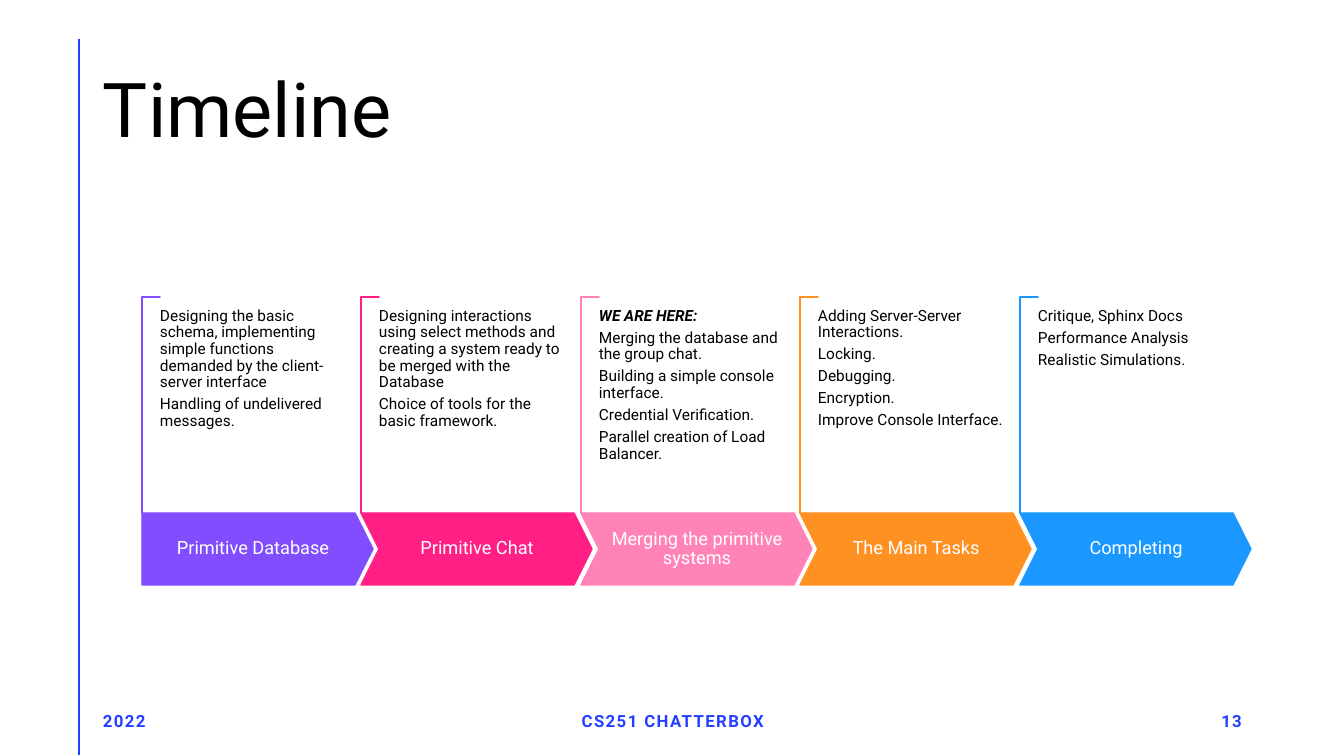
"""Build the project timeline slide."""
from lxml import etree
from pptx import Presentation
from pptx import util as u
from pptx.dml.color import RGBColor
from pptx.enum import shapes, text
from pptx.oxml.ns import qn

COLOURS = {
    "ink": "000000", "paper": "FFFFFF", "accent": "243FFF", "violet": "814DFF",
    "magenta": "FF1F85", "pink": "FF83B6", "orange": "FF9022", "sky": "1A98FF",
}
ALIGN = text.PP_ALIGN
PHASES = [
    ("Primitive Database", "violet", [
        "Designing the basic schema, implementing simple functions demanded by the client-server interface",
        "Handling of undelivered messages."]),
    ("Primitive Chat", "magenta", [
        "Designing interactions using select methods and creating a system ready to be merged with the Database",
        "Choice of tools for the basic framework."]),
    ("Merging the primitive systems", "pink", [
        "WE ARE HERE:", "Merging the database and the group chat.",
        "Building a simple console interface.", "Credential Verification.",
        "Parallel creation of Load Balancer."]),
    ("The Main Tasks", "orange", [
        "Adding Server-Server Interactions.", "Locking.", "Debugging.",
        "Encryption.", "Improve Console Interface."]),
    ("Completing", "sky", [
        "Critique, Sphinx Docs", "Performance Analysis", "Realistic Simulations."]),
]
FOOTER = [("2022", 93, 302, ALIGN.LEFT), ("CS251 CHATTERBOX", 446, 454, ALIGN.CENTER),
          ("13", 950, 302, ALIGN.RIGHT)]
HIGHLIGHT = "WE ARE HERE:"


def px(length):
    return u.Emu(round(length * 914400 / 100.8))


def colour(name):
    return RGBColor.from_string(COLOURS[name])


def apply(target, values):
    for name, value in values.items():
        setattr(target, name, value)


class SlideBuilder:
    def __init__(self, deck, font):
        self.font = font
        self.page = deck.slides.add_slide(deck.slide_layouts[5])

    def fill_text(self, box, lines, size, ink, align=ALIGN.LEFT,
                  anchor=text.MSO_ANCHOR.MIDDLE, insets=(10, 5), leading=0.9,
                  after=0.0, bold=False, spacing=None):
        frame = box.text_frame
        side, edge = map(px, insets)
        apply(frame, {"word_wrap": True, "auto_size": text.MSO_AUTO_SIZE.NONE,
                      "vertical_anchor": anchor, "margin_left": side, "margin_right": side,
                      "margin_top": edge, "margin_bottom": edge})
        for index, line in enumerate(lines):
            para = frame.paragraphs[0] if index == 0 else frame.add_paragraph()
            apply(para, {"alignment": align, "line_spacing": leading,
                         "space_before": u.Pt(0), "space_after": u.Pt(size * after)})
            span = para.add_run()
            span.text = line
            marked = line == HIGHLIGHT
            apply(span.font, {"name": self.font, "size": u.Pt(size),
                              "bold": bold or marked, "italic": marked})
            span.font.color.rgb = colour(ink)
            if spacing:
                span._r.get_or_add_rPr().set("spc", str(spacing))

    def title(self, words, left, top, width, height):
        box = self.page.shapes.title
        apply(box, {"left": px(left), "top": px(top), "width": px(width), "height": px(height)})
        self.fill_text(box, [words], 54, "ink")

    def textbox(self, lines, left, top, width, height, size, ink, **style):
        box = self.page.shapes.add_textbox(px(left), px(top), px(width), px(height))
        self.fill_text(box, lines, size, ink, **style)

    def shape(self, kind, left, top, width, height, fill, line, adjustments, rotation=0):
        box = self.page.shapes.add_shape(kind, px(left), px(top), px(width), px(height))
        box.shadow.inherit = False
        box.rotation = rotation
        box.fill.solid()
        box.fill.fore_color.rgb = colour(fill)
        box.line.color.rgb = colour(line)
        box.line.width = u.Pt(1)
        for index, value in enumerate(adjustments):
            box.adjustments[index] = value

    def rule(self, x, top, bottom, ink, weight):
        line = self.page.shapes.add_connector(
            shapes.MSO_CONNECTOR.STRAIGHT, px(x), px(top), px(x), px(bottom))
        line.line.color.rgb = colour(ink)
        line.line.width = u.Pt(weight)
        etree.SubElement(line._element.spPr, qn("a:effectLst"))

    def phase(self, index, name, ink, notes):
        kinds = shapes.MSO_SHAPE
        first = index == 0
        left = 142 + 439 * index // 2
        self.shape(kinds.CORNER, left - 99, 396, 216, 18, "paper", ink, [0.01, 0.01], 90)
        self.shape(kinds.PENTAGON if first else kinds.CHEVRON,
                   left, 513, 231, 72, ink, ink, [0.25])
        self.textbox([name], left if first else left + 18, 513, 222 if first else 196, 72,
                     13, "paper", align=ALIGN.CENTER, insets=(9, 18), after=0.35)
        self.textbox(notes, left + 18, 308, 187, 194 if index < 2 else 151, 11, "ink",
                     anchor=text.MSO_ANCHOR.TOP, insets=(0, 0), after=0.35)


def main():
    deck = Presentation()
    apply(deck, {"slide_width": px(1344), "slide_height": px(756)})
    builder = SlideBuilder(deck, "Roboto")
    builder.rule(79, 39, 755, "accent", 2)
    builder.title("Timeline", 93, 40, 1159, 146)
    for index, (name, ink, notes) in enumerate(PHASES):
        builder.phase(index, name, ink, notes)
    for words, left, width, align in FOOTER:
        builder.textbox([words], left, 701, width, 40, 12, "accent",
                        align=align, leading=1.0, bold=True, spacing=100)
    deck.save("out.pptx")


if __name__ == "__main__":
    main()
